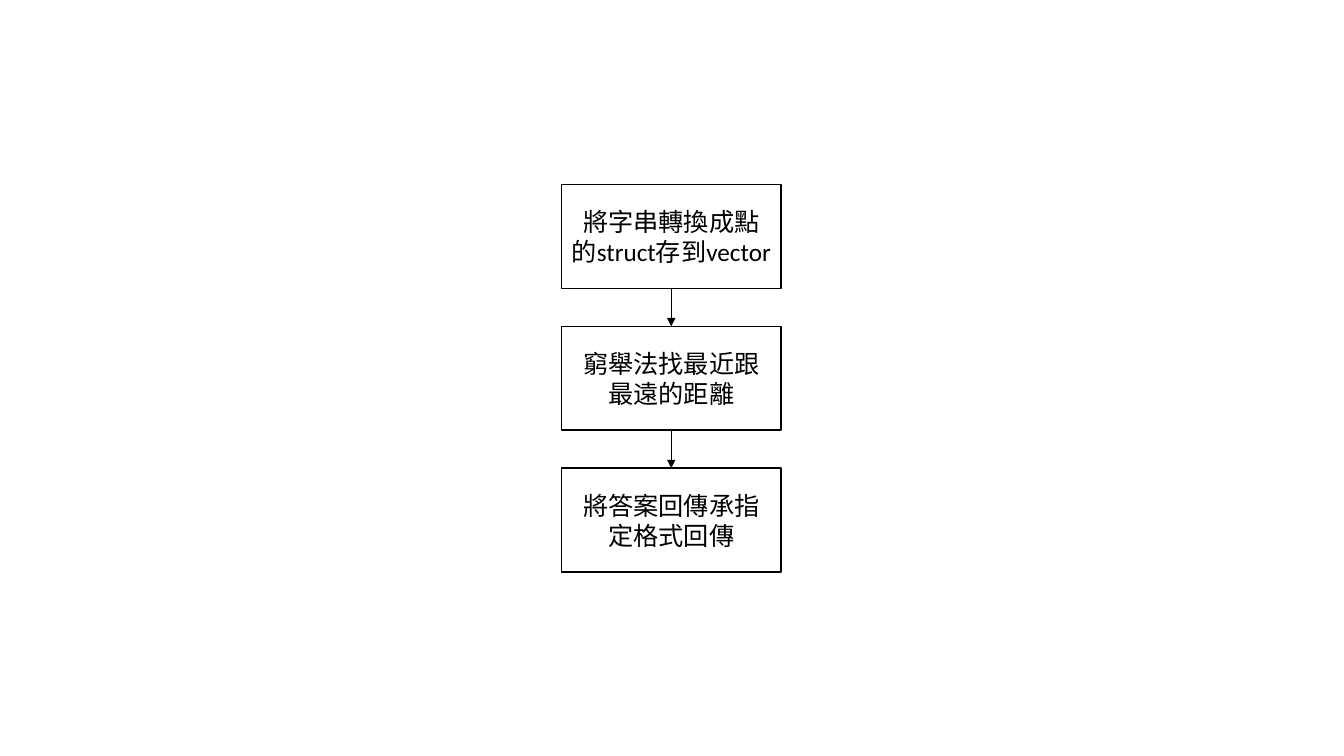
"""Build a slide with a three-step vertical flow chart."""
from lxml import etree
from pptx import Presentation
from pptx.dml.color import RGBColor
from pptx.enum.shapes import MSO_CONNECTOR, MSO_SHAPE
from pptx.enum.text import MSO_ANCHOR, PP_ALIGN
from pptx.oxml.ns import qn
from pptx.util import Pt

RECT = MSO_SHAPE.RECTANGLE
LINE = MSO_CONNECTOR.STRAIGHT
MIDDLE = MSO_ANCHOR.MIDDLE
CENTER = PP_ALIGN.CENTER

COLORS = {"ink": "000000", "paper": "FFFFFF"}
FONT = {"name": "Calibri", "size": Pt(18)}
STEPS = [
    "將字串轉換成點的struct存到vector",
    "窮舉法找最近跟最遠的距離",
    "將答案回傳承指定格式回傳",
]
LEFT, TOP, WIDTH, HEIGHT, PITCH = 401, 131.8, 157, 74.2, 101.3


def color(key):
    return RGBColor.from_string(COLORS[key])


def set_line(line, width):
    line.color.rgb = color("ink")
    line.width = Pt(width)


def add_step(slide, text, top):
    box = slide.shapes.add_shape(RECT, Pt(LEFT), Pt(top), Pt(WIDTH), Pt(HEIGHT))
    box.shadow.inherit = False
    box.fill.solid()
    box.fill.fore_color.rgb = color("paper")
    set_line(box.line, 1)
    frame = box.text_frame
    frame.word_wrap = True
    frame.vertical_anchor = MIDDLE
    para = frame.paragraphs[0]
    para.alignment = CENTER
    run = para.add_run()
    run.text = text
    for key, value in FONT.items():
        setattr(run.font, key, value)
    run.font.color.rgb = color("ink")
    return box


def add_arrow(slide, start, end):
    mid = Pt(LEFT + WIDTH / 2)
    arrow = slide.shapes.add_connector(LINE, mid, start.top, mid, end.top)
    arrow.begin_connect(start, 2)
    arrow.end_connect(end, 0)
    set_line(arrow.line, 0.5)
    props = arrow.element.spPr
    etree.SubElement(props.find(qn("a:ln")), qn("a:tailEnd"), type="triangle")
    etree.SubElement(props, qn("a:effectLst"))


def main():
    deck = Presentation()
    deck.slide_width, deck.slide_height = Pt(960), Pt(540)
    slide = deck.slides.add_slide(deck.slide_layouts[6])
    boxes = [add_step(slide, text, TOP + i * PITCH) for i, text in enumerate(STEPS)]
    for start, end in zip(boxes, boxes[1:]):
        add_arrow(slide, start, end)
    deck.save("out.pptx")


if __name__ == "__main__":
    main()
